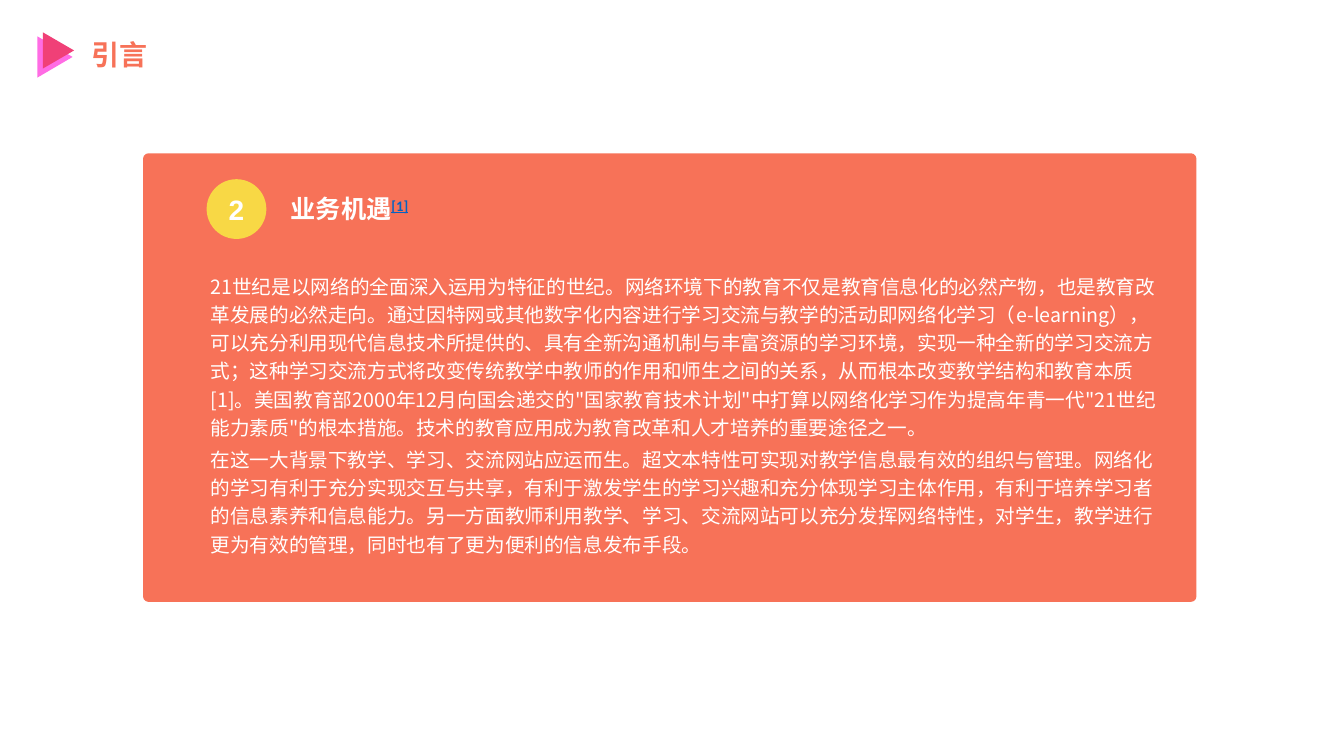
"""Build the introduction slide on the business opportunity."""
from pptx import Presentation
from pptx.dml.color import RGBColor
from pptx.enum.shapes import MSO_SHAPE as SHAPE
from pptx.enum.text import MSO_ANCHOR, MSO_AUTO_SIZE, PP_ALIGN
from pptx.oxml.ns import qn
from pptx.util import Pt

CJK = "Noto Sans CJK SC"
CORAL, YELLOW, WHITE = "F77258", "F8D845", "FFFFFF"
PARAGRAPHS = [
    "21世纪是以网络的全面深入运用为特征的世纪。网络环境下的教育不仅是教育信息化的必然产物，也是教育改革发展的必然走向。"
    "通过因特网或其他数字化内容进行学习交流与教学的活动即网络化学习（e-learning），"
    "可以充分利用现代信息技术所提供的、具有全新沟通机制与丰富资源的学习环境，实现一种全新的学习交流方式；"
    "这种学习交流方式将改变传统教学中教师的作用和师生之间的关系，从而根本改变教学结构和教育本质[1]。"
    '美国教育部2000年12月向国会递交的"国家教育技术计划"中打算以网络化学习作为提高年青一代"21世纪能力素质"的根本措施。'
    "技术的教育应用成为教育改革和人才培养的重要途径之一。",
    "在这一大背景下教学、学习、交流网站应运而生。超文本特性可实现对教学信息最有效的组织与管理。"
    "网络化的学习有利于充分实现交互与共享，有利于激发学生的学习兴趣和充分体现学习主体作用，"
    "有利于培养学习者的信息素养和信息能力。另一方面教师利用教学、学习、交流网站可以充分发挥网络特性，"
    "对学生，教学进行更为有效的管理，同时也有了更为便利的信息发布手段。",
]


def rgb(color):
    return RGBColor.from_string(color)


def add_run(p, text, size, font, color, bold=False):
    r = p.add_run()
    r.text = text
    r.font.size, r.font.name, r.font.bold = Pt(size), font, bold
    r.font.color.rgb = rgb(color)
    ea = r.font._element.makeelement(qn("a:ea"), {"typeface": CJK})
    r.font._element.find(qn("a:latin")).addnext(ea)
    return r


prs = Presentation()
prs.slide_width, prs.slide_height = Pt(960), Pt(540)
s = prs.slides.add_slide(prs.slide_layouts[6])

shapes = []
for kind, x, y, w, h, color, angle in [
    (SHAPE.ISOSCELES_TRIANGLE, 24.5, 28.1, 29.5, 25.2, "FF6CE4", 90),
    (SHAPE.ISOSCELES_TRIANGLE, 28.8, 24.9, 25.9, 22.3, "F04077", 90),
    (SHAPE.ROUNDED_RECTANGLE, 102.2, 109.5, 752.4, 320.4, CORAL, 0),
    (SHAPE.OVAL, 147.6, 128, 42.7, 42.7, YELLOW, 0),
]:
    sp = s.shapes.add_shape(kind, Pt(x), Pt(y), Pt(w), Pt(h))
    sp.rotation, sp.shadow.inherit = angle, False
    sp.fill.solid()
    sp.fill.fore_color.rgb = rgb(color)
    sp.line.fill.background()
    shapes.append(sp)
panel, number = shapes[2:]
panel.adjustments[0] = 0.012

tf = number.text_frame
tf.vertical_anchor = MSO_ANCHOR.MIDDLE
p = tf.paragraphs[0]
p.alignment = PP_ALIGN.CENTER
add_run(p, "2", 20, "Arial", WHITE, True)

frames = []
for x, y, w, h in [
    (58.3, 23.3, 159.8, 31.7),
    (200.5, 134.6, 154.8, 28.8),
    (143.3, 189.2, 691.9, 212.4),
]:
    tf = s.shapes.add_textbox(Pt(x), Pt(y), Pt(w), Pt(h)).text_frame
    tf.word_wrap, tf.auto_size = True, MSO_AUTO_SIZE.SHAPE_TO_FIT_TEXT
    frames.append(tf)
title, heading, body = frames

add_run(title.paragraphs[0], "引言", 20, CJK, CORAL, True)

p = heading.paragraphs[0]
add_run(p, "业务机遇", 18, "Arial", WHITE, True)
r = add_run(p, "[1]", 18, "Calibri", "0563C1", True)
r.font.underline = True
r.font._element.set("baseline", "30000")

for i, text in enumerate(PARAGRAPHS):
    p = body.add_paragraph() if i else body.paragraphs[0]
    p.line_spacing = 1.2
    if i:
        p.space_before = Pt(2.8)
    add_run(p, text, 14, CJK, WHITE)

prs.save("out.pptx")
